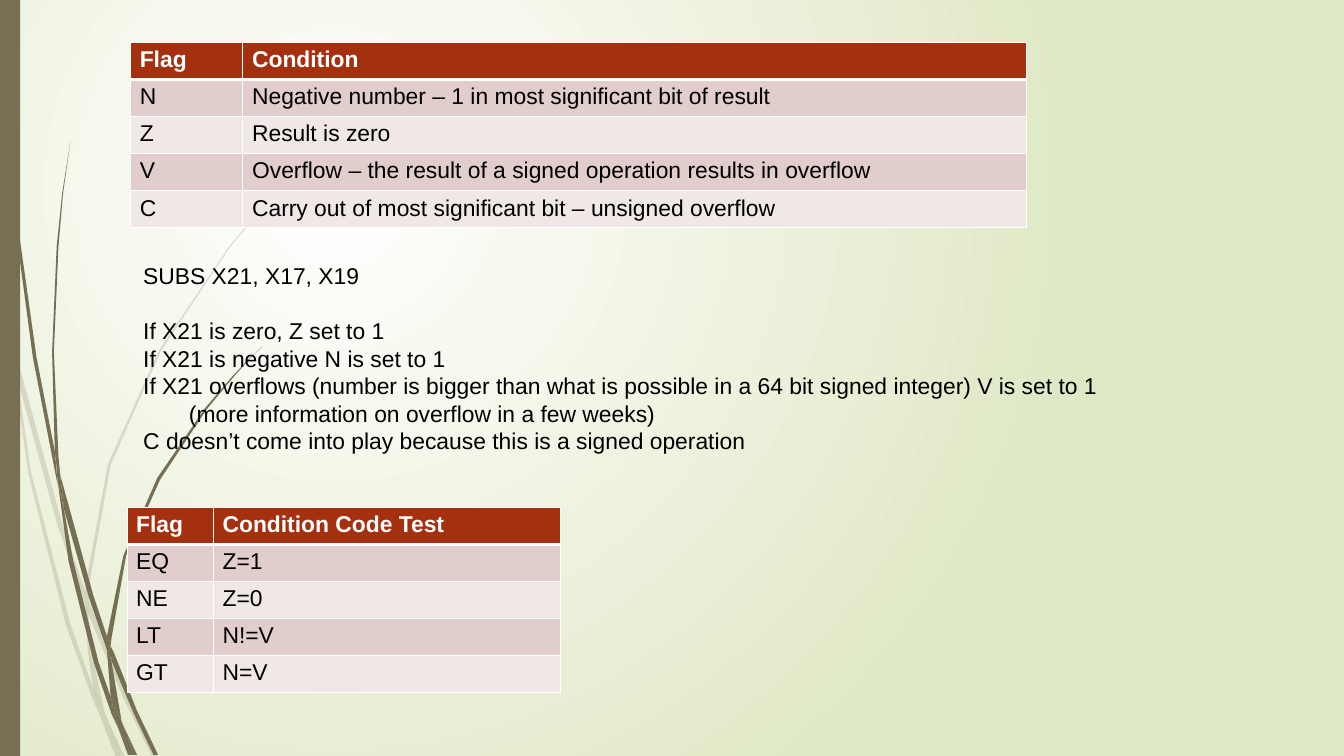
from dataclasses import dataclass

from lxml.etree import SubElement
from pptx import Presentation
from pptx.dml.color import RGBColor
from pptx.enum.shapes import MSO_SHAPE
from pptx.enum.text import MSO_AUTO_SIZE
from pptx.oxml.ns import qn
from pptx.util import Cm, Pt


@dataclass(frozen=True)
class Theme:
    font: str = "Arial"
    size: float = 18
    pitch: float = 21.6
    ink: str = "000000"
    white: str = "FFFFFF"
    glow: str = "DFE8C4"
    stem: str = "766F54"
    head: str = "A53010"
    bands: tuple = ("E1CDCC", "F0E8E7")


theme = Theme()


def write(para, text, color=theme.ink, bold=False, pitch=None, before=None, indent=None):
    if indent:
        para._p.get_or_add_pPr().set("marL", str(indent))
    if pitch:
        para.line_spacing = Pt(pitch)
    if before:
        para.space_before = Pt(before)
    run = para.add_run()
    run.text = text
    run.font.name = theme.font
    run.font.size = Pt(theme.size)
    run.font.bold = bold
    run.font.color.rgb = RGBColor.from_string(color)


def edge(cell, side, width):
    line = SubElement(cell._tc.get_or_add_tcPr(), qn(f"a:ln{side}"), w=str(Pt(width)))
    fill = SubElement(line, qn("a:solidFill"))
    SubElement(fill, qn("a:srgbClr"), val=theme.white)


deck = Presentation()
deck.slide_width = Cm(37.34)
deck.slide_height = Cm(21.01)
slide = deck.slides.add_slide(deck.slide_layouts[6])

back = slide.background.fill
back.gradient()
for stop, color in zip(back.gradient_stops, (theme.white, theme.glow)):
    stop.color.rgb = RGBColor.from_string(color)
grad = slide._element.find(".//" + qn("a:gradFill"))
grad.remove(grad.find(qn("a:lin")))
ring = SubElement(grad, qn("a:path"), path="circle")
SubElement(ring, qn("a:fillToRect"), l="50000", t="50000", r="100000", b="100000")

faded = [
    [(12, 386), (9, 355), (0, 310), (0, 330), (11, 379)],
    [(63, 575), (93, 660), (93, 646), (68, 573), (16, 381), (19, 414)],
    [(102, 669), (97, 657), (97, 673), (135, 764), (166, 827), (171, 827), (140, 762)],
    [(131, 827), (136, 827), (116, 784)],
    [(102, 753), (77, 683), (34, 517), (19, 414), (12, 386), (31, 518),
     (72, 684), (101, 764), (111, 787), (109, 779)],
    [(93, 660), (96, 712), (102, 753), (106, 763), (116, 784), (114, 778),
     (100, 712), (97, 673), (97, 670)],
    [(97, 643), (121, 509), (176, 384), (252, 270), (296, 218), (319, 193), (344, 169),
     (319, 193), (295, 218), (251, 269), (174, 383), (118, 508), (93, 643), (93, 646), (97, 657)],
    [(111, 787), (126, 827), (131, 827)],
    [(97, 671), (97, 657), (93, 646), (93, 661)],
    [(106, 763), (102, 753), (109, 779), (111, 787), (131, 827), (116, 784)],
]
solid = [
    [(7, 121), (18, 257), (36, 391), (62, 525), (63, 530), (61, 504), (61, 499),
     (40, 391), (21, 256), (8, 120), (5, 53), (4, 0), (3, 0), (4, 53)],
    [(97, 653), (117, 711), (117, 696), (102, 651), (66, 520), (70, 557)],
    [(125, 715), (121, 707), (122, 723), (146, 780), (168, 826), (173, 826), (150, 778)],
    [(121, 762), (108, 725), (80, 613), (70, 557), (63, 526), (75, 614),
     (103, 726), (122, 781), (129, 796), (128, 790)],
    [(66, 520), (64, 500), (59, 385), (64, 270), (69, 212), (77, 155),
     (68, 212), (62, 270), (57, 385), (60, 495)],
    [(147, 826), (150, 826), (134, 792)],
    [(63, 526), (70, 557), (66, 521), (61, 495), (61, 500)],
    [(122, 698), (138, 608), (175, 525), (226, 448), (255, 413), (271, 395), (287, 379),
     (270, 395), (254, 412), (224, 447), (172, 523), (135, 608), (117, 696), (121, 707)],
    [(129, 796), (140, 826), (144, 826)],
    [(117, 711), (121, 762), (128, 778), (134, 792), (133, 789), (122, 724), (120, 717)],
    [(117, 711), (120, 717), (122, 723), (121, 707), (117, 696)],
    [(128, 778), (121, 762), (128, 790), (129, 796), (144, 826), (147, 826), (134, 792)],
]
for blades, alpha in ((faded, 20), (solid, 100)):
    group = slide.shapes.add_group_shape()
    for start, *rest in blades:
        path = group.shapes.build_freeform(*start, scale=Cm(2.54) / 100)
        path.add_line_segments(rest, close=True)
        blade = path.convert_to_shape()
        blade.shadow.inherit = False
        blade.line.fill.background()
        blade.fill.solid()
        blade.fill.fore_color.rgb = RGBColor.from_string(theme.stem)
        if alpha < 100:
            tint = blade._element.spPr.find(".//" + qn("a:srgbClr"))
            SubElement(tint, qn("a:alpha"), val=str(alpha * 1000))

strip = slide.shapes.add_shape(MSO_SHAPE.RECTANGLE, 0, 0, Cm(0.56), deck.slide_height)
strip.shadow.inherit = False
strip.line.fill.background()
strip.fill.solid()
strip.fill.fore_color.rgb = RGBColor.from_string(theme.stem)

flags = [
    ("Flag", "Condition"),
    ("N", "Negative number – 1 in most significant bit of result"),
    ("Z", "Result is zero"),
    ("V", "Overflow – the result of a signed operation results in overflow"),
    ("C", "Carry out of most significant bit – unsigned overflow"),
]
tests = [
    ("Flag", "Condition Code Test"),
    ("EQ", "Z=1"),
    ("NE", "Z=0"),
    ("LT", "N!=V"),
    ("GT", "N=V"),
]
high = Cm(1.03)
for rows, left, top, wides in (
    (flags, 3.63, 1.18, (3.12, 21.77)),
    (tests, 3.53, 14.1, (2.4, 9.63)),
):
    grid = slide.shapes.add_table(
        len(rows), 2, Cm(left), Cm(top), Cm(sum(wides)), high * len(rows)
    ).table
    for col, wide in zip(grid.columns, wides):
        col.width = Cm(wide)
    for r, row in enumerate(rows):
        grid.rows[r].height = high
        for c, text in enumerate(row):
            cell = grid.cell(r, c)
            for side in "LRTB":
                thick = (r, side) in ((0, "B"), (1, "T"))
                edge(cell, side, 3 if thick else 1)
            cell.fill.solid()
            shade = theme.bands[(r - 1) % 2] if r else theme.head
            cell.fill.fore_color.rgb = RGBColor.from_string(shade)
            color = theme.ink if r else theme.white
            write(cell.text_frame.paragraphs[0], text, color=color, bold=r == 0)

notes = [
    ("SUBS X21, X17, X19", {}),
    ("If X21 is zero, Z set to 1", {"before": theme.pitch}),
    ("If X21 is negative N is set to 1", {}),
    ("If X21 overflows (number is bigger than what is possible"
     " in a 64 bit signed integer) V is set to 1", {}),
    ("(more information on overflow in a few weeks)", {"indent": Cm(1.27)}),
    ("C doesn’t come into play because this is a signed operation", {}),
]
frame = slide.shapes.add_textbox(Cm(3.73), Cm(7.16), Cm(27.25), Cm(5.64)).text_frame
frame.word_wrap = False
frame.auto_size = MSO_AUTO_SIZE.SHAPE_TO_FIT_TEXT
for i, (text, look) in enumerate(notes):
    para = frame.add_paragraph() if i else frame.paragraphs[0]
    write(para, text, pitch=theme.pitch, **look)

deck.save("out.pptx")
